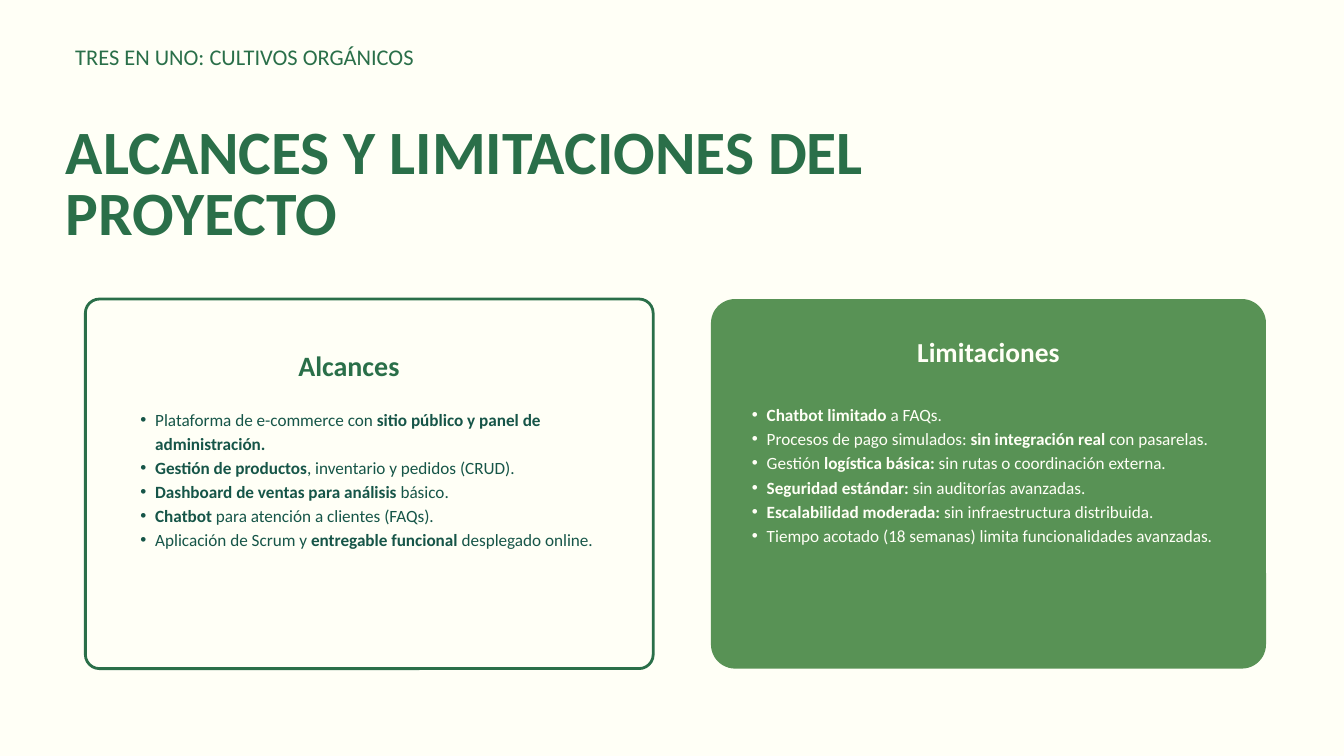
from dataclasses import dataclass

from lxml import etree
from pptx import Presentation
from pptx.dml.color import RGBColor
from pptx.enum.shapes import MSO_SHAPE
from pptx.enum.text import MSO_ANCHOR, MSO_AUTO_SIZE, PP_ALIGN
from pptx.oxml.ns import qn
from pptx.util import Inches, Pt

ROUNDED = MSO_SHAPE.ROUNDED_RECTANGLE
TOP = MSO_ANCHOR.TOP
NO_FIT = MSO_AUTO_SIZE.NONE
LEFT, CENTER = PP_ALIGN.LEFT, PP_ALIGN.CENTER

FONT = "Calibri"
CREAM, GREEN, DARK, LEAF = "FFFFF6", "2A6F49", "165548", "589255"
BOLD_MARK = "**"

Box = tuple[float, float, float, float]


@dataclass
class Style:
    size: float
    color: str
    leading: float
    bold: bool = False
    align: PP_ALIGN = LEFT


@dataclass
class Card:
    box: Box
    radius: float
    fill: str
    line: str | None
    heading: str
    heading_box: Box
    heading_style: Style
    items_box: Box
    items_style: Style
    indent: float
    items: list[str]


CARDS = [
    Card((1.27, 4.45, 8.45, 5.5), 0.21, CREAM, GREEN,
         "Alcances", (4.44, 5.23, 2.14, 0.56), Style(30, GREEN, 33, True),
         (1.88, 6.04, 7.23, 2.87), Style(18.4, DARK, 25.8), 0.43,
         ["Plataforma de e-commerce con **sitio público y panel de administración.**",
          "**Gestión de productos**, inventario y pedidos (CRUD).",
          "**Dashboard de ventas para análisis** básico.",
          "**Chatbot** para atención a clientes (FAQs).",
          "Aplicación de Scrum y **entregable funcional** desplegado online."]),
    Card((10.58, 4.45, 8.26, 5.5), 0.36, LEAF, None,
         "Limitaciones", (10.54, 5.07, 8.34, 0.51),
         Style(29.4, CREAM, 29.4, True, CENTER),
         (10.97, 5.97, 7.7, 3.25), Style(18.4, CREAM, 25.8), 0.44,
         ["**Chatbot limitado **a FAQs.",
          "Procesos de pago simulados:** sin integración real **con pasarelas.",
          "Gestión** logística básica: **sin rutas o coordinación externa.",
          "**Seguridad estándar: **sin auditorías avanzadas.",
          "**Escalabilidad moderada: **sin infraestructura distribuida.",
          "Tiempo acotado (18 semanas) limita funcionalidades avanzadas."]),
]


def rgb(color: str) -> RGBColor:
    return RGBColor.from_string(color)


def place(sp, box: Box) -> None:
    sp.left, sp.top, sp.width, sp.height = map(Inches, box)


def add_bullet(p, indent: float) -> None:
    pPr = p._p.get_or_add_pPr()
    pPr.set("marL", str(Inches(indent)))
    pPr.set("indent", str(Inches(-0.22)))
    etree.SubElement(pPr, qn("a:buFont")).set("typeface", "Arial")
    etree.SubElement(pPr, qn("a:buChar")).set("char", "•")


def write(sp, lines: list[str], style: Style, indent: float = 0) -> None:
    tf = sp.text_frame
    tf.word_wrap = True
    tf.auto_size = NO_FIT
    tf.vertical_anchor = TOP
    tf.margin_left = tf.margin_top = tf.margin_right = tf.margin_bottom = 0
    for i, line in enumerate(lines):
        p = tf.add_paragraph() if i else tf.paragraphs[0]
        if indent:
            p.level = 1
            add_bullet(p, indent)
        p.alignment = style.align
        p.line_spacing = Pt(style.leading)
        for j, part in enumerate(line.split(BOLD_MARK)):
            if part:
                r = p.add_run()
                r.text = part
                r.font.name = FONT
                r.font.size = Pt(style.size)
                r.font.bold = style.bold or j % 2 == 1
                r.font.color.rgb = rgb(style.color)


def add_text(s, box: Box, lines: list[str], style: Style, indent: float = 0) -> None:
    sp = s.shapes.add_textbox(*map(Inches, box))
    write(sp, lines, style, indent)


def add_card(s, card: Card) -> None:
    sp = s.shapes.add_shape(ROUNDED, *map(Inches, card.box))
    sp.adjustments[0] = card.radius / min(card.box[2:])
    sp.shadow.inherit = False
    sp.fill.solid()
    sp.fill.fore_color.rgb = rgb(card.fill)
    if card.line:
        sp.line.color.rgb = rgb(card.line)
        sp.line.width = Pt(3)
    else:
        sp.line.fill.background()
    add_text(s, card.items_box, card.items, card.items_style, card.indent)
    add_text(s, card.heading_box, [card.heading], card.heading_style)


def main() -> None:
    prs = Presentation()
    prs.slide_width, prs.slide_height = Inches(20), Inches(11.25)
    s = prs.slides.add_slide(prs.slide_layouts[5])
    s.background.fill.solid()
    s.background.fill.fore_color.rgb = rgb(CREAM)

    title = s.shapes.title
    place(title, (0.98, 1.86, 11.89, 2.06))
    write(title, ["ALCANCES Y LIMITACIONES DEL PROYECTO"], Style(66, GREEN, 66, True))
    for card in CARDS:
        add_card(s, card)
    add_text(s, (1.12, 0.71, 5.7, 0.41), ["TRES EN UNO: CULTIVOS ORGÁNICOS"],
             Style(24, GREEN, 24))
    prs.save("out.pptx")


if __name__ == "__main__":
    main()
